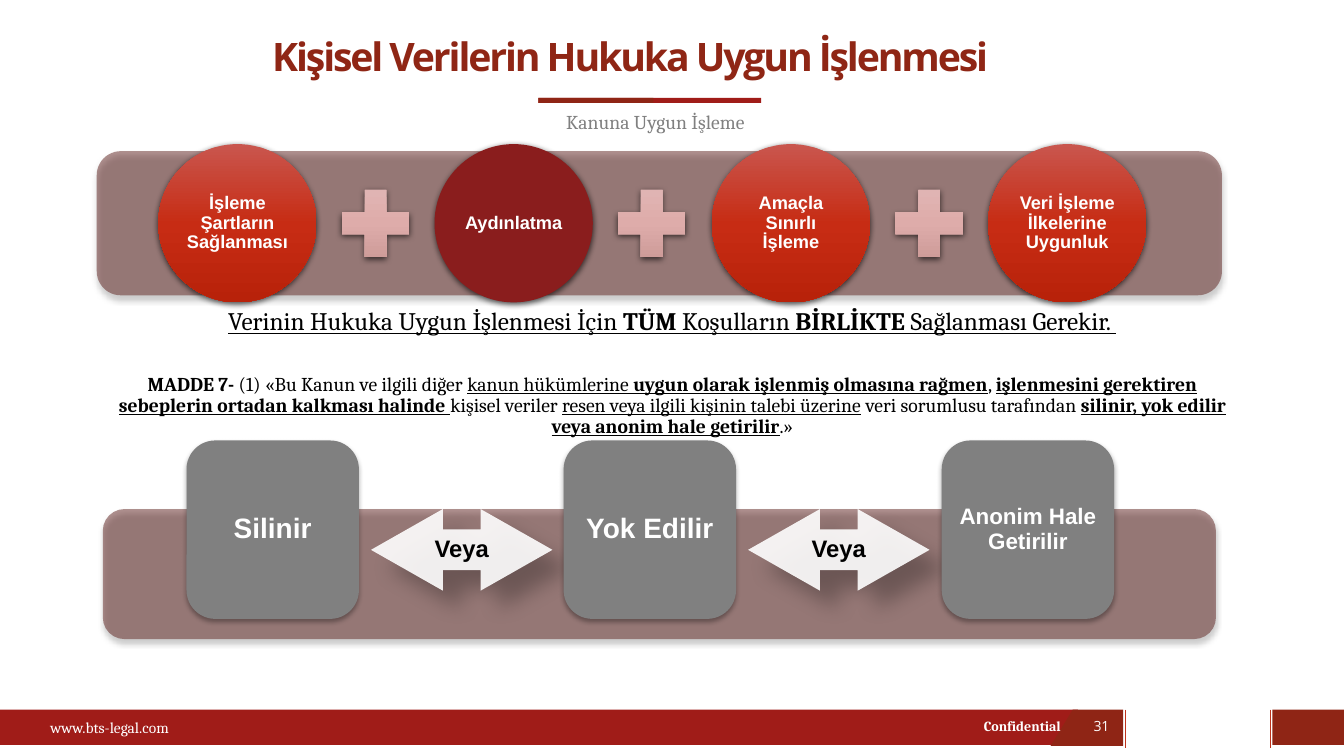
"""Build the slide on lawful processing of personal data."""
from copy import deepcopy
from dataclasses import dataclass
from typing import NamedTuple, Optional

from lxml.etree import SubElement
from pptx import Presentation
from pptx.dml.color import RGBColor
from pptx.enum.shapes import MSO_CONNECTOR as Connector, MSO_SHAPE as Kind
from pptx.enum.text import MSO_ANCHOR as Anchor, PP_ALIGN as Align
from pptx.oxml.ns import qn
from pptx.util import Pt

PX = 9144


@dataclass(frozen=True)
class Theme:
    red: str = "A01C18"
    brick: str = "8F2515"
    rule: str = "BF321C"
    title: str = "8F2615"
    band: str = "602320"
    dark: str = "8A1D1D"
    grey: str = "808080"
    white: str = "FFFFFF"
    black: str = "000000"
    glow: tuple = ("C9564E", "C72C14", "B8220A")
    blush: tuple = ("E1B8B7", "DEACAA", "C89693")
    serif: str = "Cambria"
    sans: str = "Arial"
    display: str = "Open Sans"
    title_size: int = 28
    tile_size: int = 20
    long_tile_size: int = 16
    statement_size: int = 18
    arrow_size: int = 17
    body_size: int = 14
    circle_size: int = 13
    address_size: int = 11
    footer_size: int = 10


THEME = Theme()


class Box(NamedTuple):
    left: int
    top: int
    width: int
    height: int

    def emu(self) -> list:
        return [value * PX for value in self]


class Style(NamedTuple):
    size: int
    font: str
    color: str
    bold: bool = False
    align: Align = Align.CENTER
    spacing: Optional[float] = 0.9
    anchor: Anchor = Anchor.MIDDLE


class Span(NamedTuple):
    text: str
    bold: bool = False
    underline: bool = False


class Shadow(NamedTuple):
    alpha: int
    blur: float
    distance: float
    angle: int


class Label(NamedTuple):
    text: str
    fill: object
    size: int


BAND_SHADOW = Shadow(40, 4, 3, 90)
DISC_SHADOW = Shadow(63, 4.5, 1.5, 90)
ARROW_SHADOW = Shadow(30, 15, 18, 45)
TILE_SHADOW = Shadow(32, 3.5, 2.2, 90)

CIRCLES = [
    Label("İşleme Şartların Sağlanması", THEME.glow, THEME.circle_size),
    Label("Aydınlatma", THEME.dark, THEME.circle_size),
    Label("Amaçla Sınırlı İşleme", THEME.glow, THEME.circle_size),
    Label("Veri İşleme İlkelerine Uygunluk", THEME.glow, THEME.circle_size),
]
TILES = [
    Label("Silinir", THEME.grey, THEME.tile_size),
    Label("Yok Edilir", THEME.grey, THEME.tile_size),
    Label("Anonim Hale Getirilir", THEME.grey, THEME.long_tile_size),
]
STATEMENT = [
    Span("Verinin Hukuka Uygun İşlenmesi İçin ", False, True),
    Span("TÜM", True, True),
    Span(" Koşulların ", False, True),
    Span("BİRLİKTE ", True, True),
    Span("Sağlanması Gerekir. ", False, True),
]
ARTICLE = [
    Span("MADDE 7-", True),
    Span(" (1) «Bu Kanun ve ilgili diğer "),
    Span("kanun hükümlerine ", False, True),
    Span("uygun olarak işlenmiş olmasına rağmen", True, True),
    Span(", "),
    Span("işlenmesini gerektiren sebeplerin ortadan kalkması halinde ", True, True),
    Span("kişisel veriler "),
    Span("resen veya ilgili kişinin talebi üzerine", False, True),
    Span(" veri sorumlusu tarafından "),
    Span("silinir, yok edilir veya anonim hale getirilir", True, True),
    Span(".»"),
]


def write(frame, spans: list, style: Style, inset: Optional[int] = None) -> None:
    """Fill a text frame with one styled paragraph."""
    frame.word_wrap = True
    frame.vertical_anchor = style.anchor
    if inset is not None:
        frame.margin_left = frame.margin_right = inset * PX
        frame.margin_top = frame.margin_bottom = inset * PX
    para = frame.paragraphs[0]
    para.alignment, para.line_spacing = style.align, style.spacing
    for span in spans:
        run = para.add_run()
        run.text = span.text
        font = run.font
        font.size, font.name = Pt(style.size), style.font
        font.bold, font.underline = style.bold or span.bold, span.underline
        font.color.rgb = RGBColor.from_string(style.color)


def add_text(page, box: Box, spans: list, style: Style):
    """Add a wrapping text box and return its frame."""
    frame = page.shapes.add_textbox(*box.emu()).text_frame
    write(frame, spans, style)
    return frame


def paint(shape, fill, shadow: Optional[Shadow] = None, alpha: int = 100) -> None:
    """Give a shape its fill, opacity and shadow, without outline."""
    properties = shape.element.spPr
    if isinstance(fill, tuple):
        shape.fill.gradient()
        shape.fill.gradient_angle = 270
        stops = properties.find(".//" + qn("a:gsLst"))
        stops.append(deepcopy(stops[0]))
        for index, (stop, color) in enumerate(zip(shape.fill.gradient_stops, fill)):
            stop.position = index / 2
            stop.color.rgb = RGBColor.from_string(color)
    else:
        shape.fill.solid()
        shape.fill.fore_color.rgb = RGBColor.from_string(fill)
        if alpha < 100:
            color = properties.find(".//" + qn("a:srgbClr"))
            SubElement(color, qn("a:alpha"), val=str(alpha * 1000))
    shape.line.fill.background()
    shape.shadow.inherit = False
    if shadow:
        effects = properties.find(qn("a:effectLst"))
        outer = SubElement(effects, qn("a:outerShdw"), blurRad=str(Pt(shadow.blur)),
                           dist=str(Pt(shadow.distance)), dir=str(shadow.angle * 60000),
                           algn="ctr", rotWithShape="0")
        color = SubElement(outer, qn("a:srgbClr"), val=THEME.black)
        SubElement(color, qn("a:alpha"), val=str(shadow.alpha * 1000))


def add_block(page, kind: Kind, box: Box, fill, shadow: Optional[Shadow] = None, alpha: int = 100):
    """Add a painted preset shape."""
    shape = page.shapes.add_shape(kind, *box.emu())
    paint(shape, fill, shadow, alpha)
    return shape


def add_footer(page) -> None:
    """Draw the footer band with its address, label and page number."""
    add_block(page, Kind.RECTANGLE, Box(0, 704, 1069, 35), THEME.red)
    for x in (1260, 1116):
        line = page.shapes.add_connector(Connector.STRAIGHT, x * PX, 704 * PX, x * PX, 742 * PX)
        line.line.color.rgb = RGBColor.from_string(THEME.rule)
        line.line.width = Pt(1)
        SubElement(line.element.spPr, qn("a:effectLst"))
    outline = page.shapes.build_freeform(1064, 704, scale=PX)
    outline.add_line_segments([(1114, 704), (1114, 740), (1042, 740)], close=True)
    paint(outline.convert_to_shape(), THEME.brick)
    add_block(page, Kind.RECTANGLE, Box(1262, 704, 71, 35), THEME.brick)
    address = Style(THEME.address_size, THEME.serif, THEME.white, align=Align.LEFT, spacing=None)
    add_text(page, Box(40, 705, 258, 34), [Span("www.bts-legal.com")], address)
    label = address._replace(size=THEME.footer_size, bold=True, anchor=Anchor.TOP)
    add_text(page, Box(966, 707, 110, 27), [Span("Confidential")], label).word_wrap = False
    number = Style(THEME.footer_size, THEME.display, THEME.white, spacing=None)
    add_text(page, Box(1069, 700, 47, 40), [Span("31")], number)


def add_heading(page) -> None:
    """Set the title, its two-tone rule and the subtitle."""
    title = page.shapes.title
    title.left, title.top, title.width, title.height = Box(139, 29, 972, 59).emu()
    write(title.text_frame, [Span("Kişisel Verilerin Hukuka Uygun İşlenmesi")],
          Style(THEME.title_size, THEME.display, THEME.title, True))
    title.text_frame.paragraphs[0].runs[0].font._element.set("spc", "-150")
    for width, color in ((221, THEME.red), (114, THEME.brick)):
        add_block(page, Kind.RECTANGLE, Box(534, 97, width, 5), color)
    add_text(page, Box(384, 104, 532, 34), [Span("Kanuna Uygun İşleme")],
             Style(THEME.body_size, THEME.serif, THEME.grey, spacing=None, anchor=Anchor.TOP))


def add_conditions(page) -> None:
    """Draw the circles joined by plus signs."""
    add_block(page, Kind.ROUNDED_RECTANGLE, Box(96, 150, 1116, 143), THEME.band, BAND_SHADOW, 50)
    for index, label in enumerate(CIRCLES):
        shift = index * 549 // 2
        disc = add_block(page, Kind.OVAL, Box(157 + shift, 143, 157, 157), label.fill, DISC_SHADOW)
        write(disc.text_frame, [Span(label.text)], Style(label.size, THEME.sans, THEME.white, True), 2)
        if index < len(CIRCLES) - 1:
            add_block(page, Kind.MATH_PLUS, Box(327 + shift, 176, 91, 91), THEME.blush, DISC_SHADOW)


def add_outcomes(page) -> None:
    """Draw the tiles joined by two-way arrows."""
    add_block(page, Kind.ROUNDED_RECTANGLE, Box(102, 505, 1104, 129), THEME.band, BAND_SHADOW, 50)
    for index, label in enumerate(TILES):
        shift = index * 749 // 2
        tile = add_block(page, Kind.ROUNDED_RECTANGLE, Box(185 + shift, 437, 171, 177), label.fill, TILE_SHADOW)
        write(tile.text_frame, [Span(label.text)], Style(label.size, THEME.sans, THEME.white, True), 2)
        if index < len(TILES) - 1:
            arrow = add_block(page, Kind.LEFT_RIGHT_ARROW, Box(368 + shift, 505, 180, 81),
                              THEME.white, ARROW_SHADOW, 90)
            arrow.adjustments[1] = 0.88
            write(arrow.text_frame, [Span("Veya")], Style(THEME.arrow_size, THEME.sans, THEME.black, True), 0)


def main() -> None:
    """Assemble and save the deck."""
    deck = Presentation()
    deck.slide_width, deck.slide_height = 1333 * PX, 750 * PX
    page = deck.slides.add_slide(deck.slide_layouts[5])
    add_footer(page)
    add_heading(page)
    add_conditions(page)
    add_text(page, Box(139, 269, 1055, 102), STATEMENT, Style(THEME.statement_size, THEME.serif, THEME.black))
    add_outcomes(page)
    add_text(page, Box(92, 352, 1150, 102), ARTICLE, Style(THEME.body_size, THEME.serif, THEME.black))
    deck.save("out.pptx")


if __name__ == "__main__":
    main()
